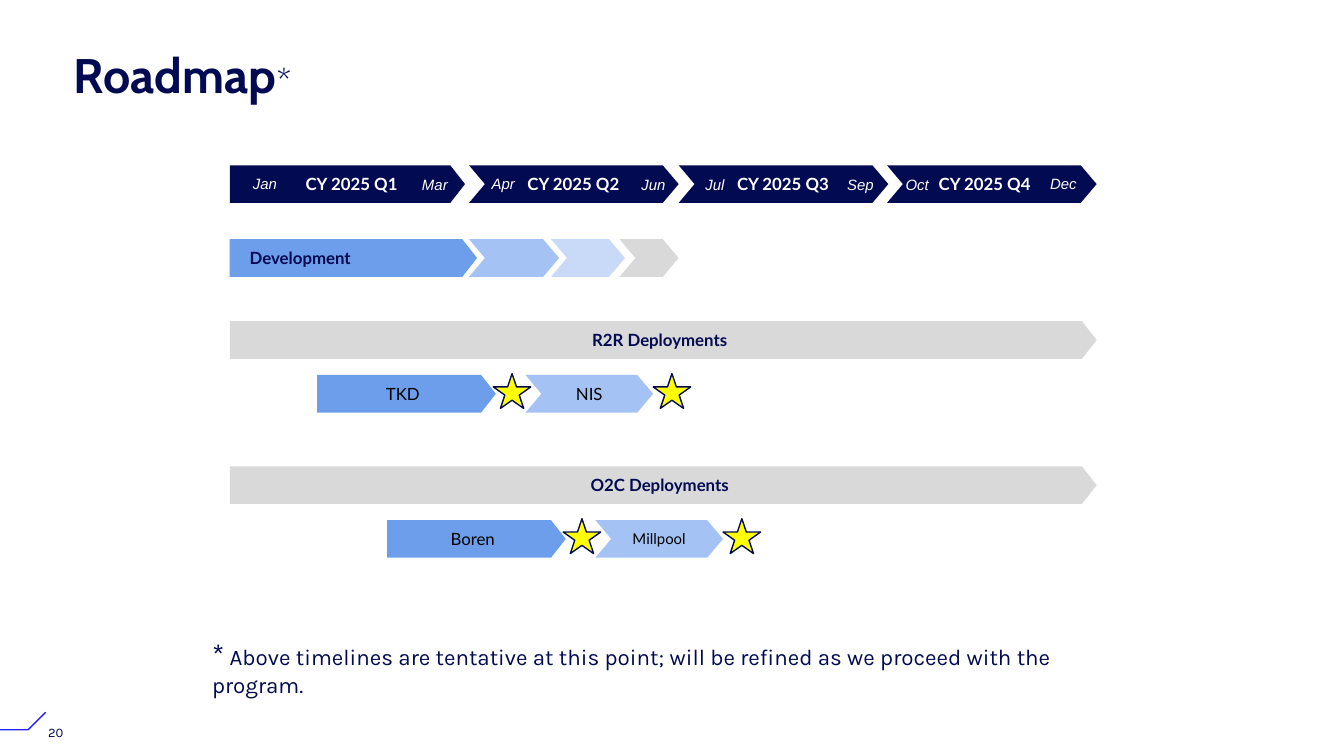
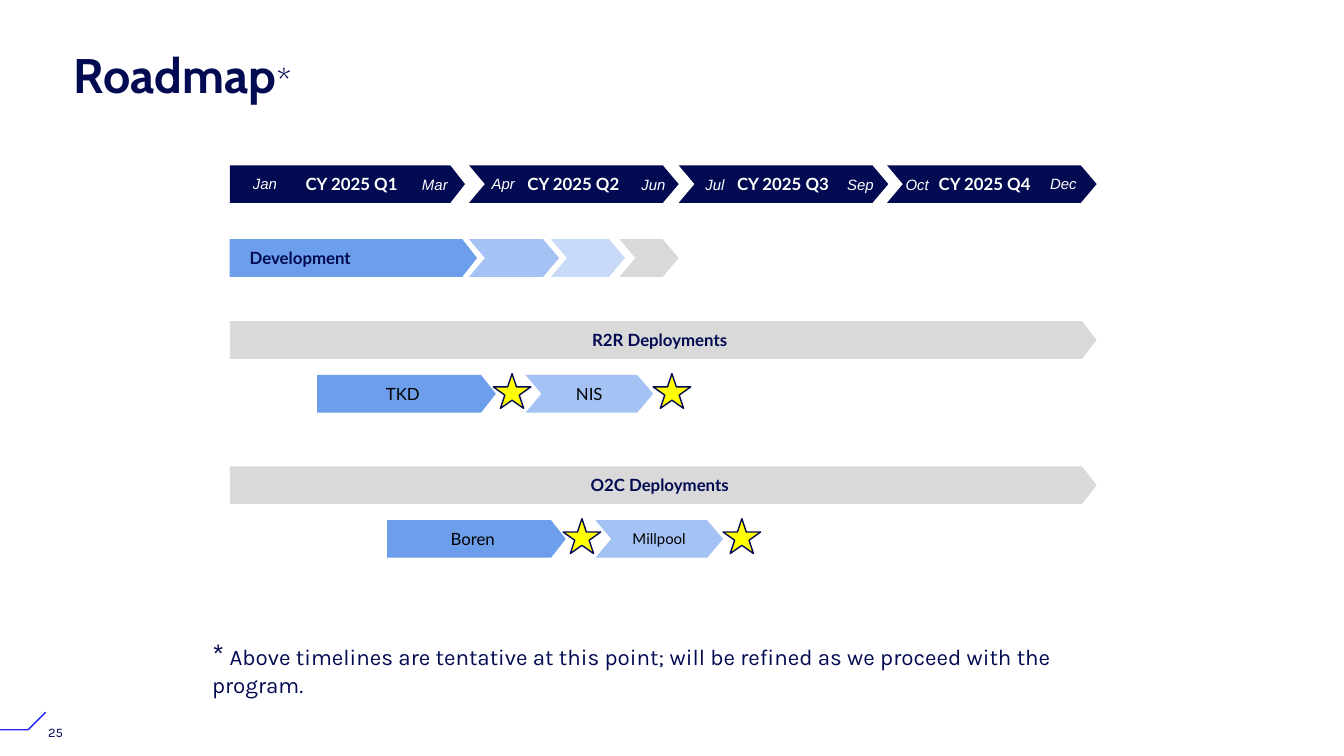
from dataclasses import dataclass

from pptx import Presentation
from pptx.dml.color import RGBColor
from pptx.enum.shapes import MSO_SHAPE
from pptx.enum.text import MSO_ANCHOR, MSO_AUTO_SIZE, PP_ALIGN
from pptx.util import Inches, Pt


@dataclass(frozen=True)
class Theme:
    navy: str = "020A51"
    corner: str = "2322F0"
    white: str = "FFFFFF"
    black: str = "000000"
    blue: str = "6D9EEB"
    light_blue: str = "A4C2F4"
    pale_blue: str = "C9DAF8"
    gray: str = "D9D9D9"
    yellow: str = "FFFF00"
    heading: str = "Cabin"
    label: str = "Lato"
    month: str = "Arial"
    body: str = "Karla"
    title_size: int = 26
    title_mark_size: int = 18
    note_mark_size: int = 16
    note_size: int = 12
    label_size: int = 9
    small_size: int = 8
    number_size: int = 7
    line_width: float = 0.75


THEME = Theme()
PAGE_WIDTH = 10
PAGE_HEIGHT = PAGE_WIDTH * 9 / 16
LEFT = 1.71
FULL_WIDTH = 6.45
BAND_HEIGHT = 0.28
QUARTER_TOP = 1.23
DEVELOPMENT_TOP = 1.78
POINTS = {MSO_SHAPE.PENTAGON: 0.392, MSO_SHAPE.CHEVRON: 0.422}

QUARTERS = [
    ("CY 2025 Q1", 1.71, 1.75, 2.14, ("Jan", 1.72, 1.29), ("Mar", 2.99, 1.3)),
    ("CY 2025 Q2", 3.49, 1.56, 3.79, ("Apr", 3.49, 1.29), ("Jun", 4.61, 1.3)),
    ("CY 2025 Q3", 5.05, 1.56, 5.35, ("Jul", 5.05, 1.3), ("Sep", 6.16, 1.3)),
    ("CY 2025 Q4", 6.6, 1.56, 6.85, ("Oct", 6.57, 1.3), ("Dec", 7.67, 1.29)),
]
PHASES = [
    (1.71, 1.84, THEME.blue),
    (3.49, 0.67, THEME.light_blue),
    (4.1, 0.55, THEME.pale_blue),
    (4.61, 0.44, THEME.gray),
]
PROGRAMS = [
    ("R2R Deployments", 2.39, 2.36, "TKD", "NIS", THEME.label_size),
    ("O2C Deployments", 3.47, 2.88, "Boren", "Millpool", THEME.small_size),
]
NOTE = (
    " Above timelines are tentative at this point; "
    "will be refined as we proceed with the program."
)


class RoadmapPage:
    def __init__(self, deck, theme):
        self.theme = theme
        self.layout = deck.slide_layouts[5]
        self.page = deck.slides.add_slide(self.layout)

    def color(self, target, value):
        target.solid()
        target.fore_color.rgb = RGBColor.from_string(value)

    def outline(self, shape, value):
        self.color(shape.line.fill, value)
        shape.line.width = Pt(self.theme.line_width)

    def frame(self, shape, inset_x=0.1, inset_y=0.1):
        frame = shape.text_frame
        frame.word_wrap = True
        frame.vertical_anchor = MSO_ANCHOR.MIDDLE
        frame.margin_left = frame.margin_right = Inches(inset_x)
        frame.margin_top = frame.margin_bottom = Inches(inset_y)
        return frame

    def style(self, para, font, size, color, align=PP_ALIGN.LEFT, bold=False, italic=False):
        para.alignment = align
        para.font.name = font
        para.font.size = Pt(size)
        para.font.bold = bold
        para.font.italic = italic
        self.color(para.font.fill, color)

    def spans(self, para, *parts):
        for text, size, bold in parts:
            span = para.add_run()
            span.text = text
            span.font.size = Pt(size)
            span.font.bold = bold

    def title(self, text, mark):
        theme = self.theme
        box = self.page.shapes.title
        box.left, box.top = Inches(0.48), Inches(0.32)
        box.width, box.height = Inches(2.04), Inches(0.52)
        frame = self.frame(box, 0.07, 0.04)
        frame.auto_size = MSO_AUTO_SIZE.NONE
        para = frame.paragraphs[0]
        para.line_spacing = 0.9
        self.style(para, theme.heading, theme.title_size, theme.navy)
        self.spans(para, (text, theme.title_size, True), (mark, theme.title_mark_size, False))

    def text(self, text, left, top, width, height, font, size, color, inset_y=0.1, **style):
        box = self.page.shapes.add_textbox(
            Inches(left), Inches(top), Inches(width), Inches(height))
        para = self.frame(box, inset_y=inset_y).paragraphs[0]
        para.text = text
        self.style(para, font, size, color, **style)

    def shape(self, kind, left, top, width, height, fill):
        shape = self.page.shapes.add_shape(
            kind, Inches(left), Inches(top), Inches(width), Inches(height))
        shape.shadow.inherit = False
        self.color(shape.fill, fill)
        shape.line.fill.background()
        return shape

    def band(self, kind, left, top, width, fill, text="", size=THEME.label_size,
             color=THEME.black, bold=False):
        shape = self.shape(kind, left, top, width, BAND_HEIGHT, fill)
        shape.adjustments[0] = POINTS[kind]
        if text:
            para = self.frame(shape).paragraphs[0]
            para.text = text
            self.style(para, self.theme.label, size, color, PP_ALIGN.CENTER, bold)

    def star(self, left, top):
        star = self.shape(MSO_SHAPE.STAR_5_POINT, left, top, 0.28, 0.26, self.theme.yellow)
        self.outline(star, self.theme.navy)

    def layout_corner(self):
        builder = self.page.shapes.build_freeform(Inches(0), Inches(5.43))
        builder.add_line_segments(
            [(Inches(0.21), Inches(5.43)), (Inches(0.34), Inches(5.3))], close=False)
        corner = builder.convert_to_shape()
        corner.shadow.inherit = False
        corner.fill.background()
        self.outline(corner, self.theme.corner)
        corner.element.nvSpPr.cNvPr.set("id", "20")
        self.layout.shapes.element.append(corner.element)

    def page_number(self, number):
        theme = self.theme
        self.text(str(number), 0.26, 5.3, 0.55, 0.3,
                  theme.body, theme.number_size, theme.navy, inset_y=0.05)

    def quarters(self):
        theme = self.theme
        for index, (name, left, width, label_left, *months) in enumerate(QUARTERS):
            kind = MSO_SHAPE.CHEVRON if index else MSO_SHAPE.PENTAGON
            self.band(kind, left, QUARTER_TOP, width, theme.navy)
            self.text(name, label_left, QUARTER_TOP - 0.01, 0.95, 0.3, theme.label,
                      theme.label_size, theme.white, align=PP_ALIGN.CENTER, bold=True)
            for month, month_left, month_top in months:
                self.text(month, month_left, month_top, 0.44, 0.15, theme.month,
                          theme.small_size, theme.white, align=PP_ALIGN.RIGHT, italic=True)

    def development(self):
        theme = self.theme
        for index, (left, width, fill) in enumerate(PHASES):
            kind = MSO_SHAPE.CHEVRON if index else MSO_SHAPE.PENTAGON
            self.band(kind, left, DEVELOPMENT_TOP, width, fill)
        self.text("Development", 1.76, DEVELOPMENT_TOP - 0.01, 1.33, 0.3,
                  theme.label, theme.label_size, theme.navy, bold=True)

    def program(self, name, top, start, first, second, second_size):
        theme = self.theme
        self.band(MSO_SHAPE.PENTAGON, start, top + 0.4, 1.33, theme.blue,
                  first, theme.label_size)
        self.band(MSO_SHAPE.CHEVRON, start + 1.55, top + 0.4, 0.95, theme.light_blue,
                  second, second_size)
        self.band(MSO_SHAPE.PENTAGON, LEFT, top, FULL_WIDTH, theme.gray,
                  name, theme.label_size, theme.navy, True)
        for offset in (1.31, 2.5):
            self.star(start + offset, top + 0.39)

    def note(self, mark, text):
        theme = self.theme
        box = self.page.shapes.add_textbox(
            Inches(1.48), Inches(4.63), Inches(7.16), Inches(0.47))
        frame = self.frame(box)
        frame.vertical_anchor = MSO_ANCHOR.TOP
        frame.auto_size = MSO_AUTO_SIZE.SHAPE_TO_FIT_TEXT
        para = frame.paragraphs[0]
        self.style(para, theme.body, theme.note_size, theme.navy)
        self.spans(para, (mark, theme.note_mark_size, False), (text, theme.note_size, False))


def main():
    deck = Presentation()
    deck.slide_width, deck.slide_height = Inches(PAGE_WIDTH), Inches(PAGE_HEIGHT)
    for number in (20, 25):
        roadmap = RoadmapPage(deck, THEME)
        roadmap.title("Roadmap", "*")
        roadmap.quarters()
        roadmap.page_number(number)
        roadmap.development()
        for program in PROGRAMS:
            roadmap.program(*program)
        roadmap.note("*", NOTE)
    roadmap.layout_corner()
    deck.save("out.pptx")


if __name__ == "__main__":
    main()
